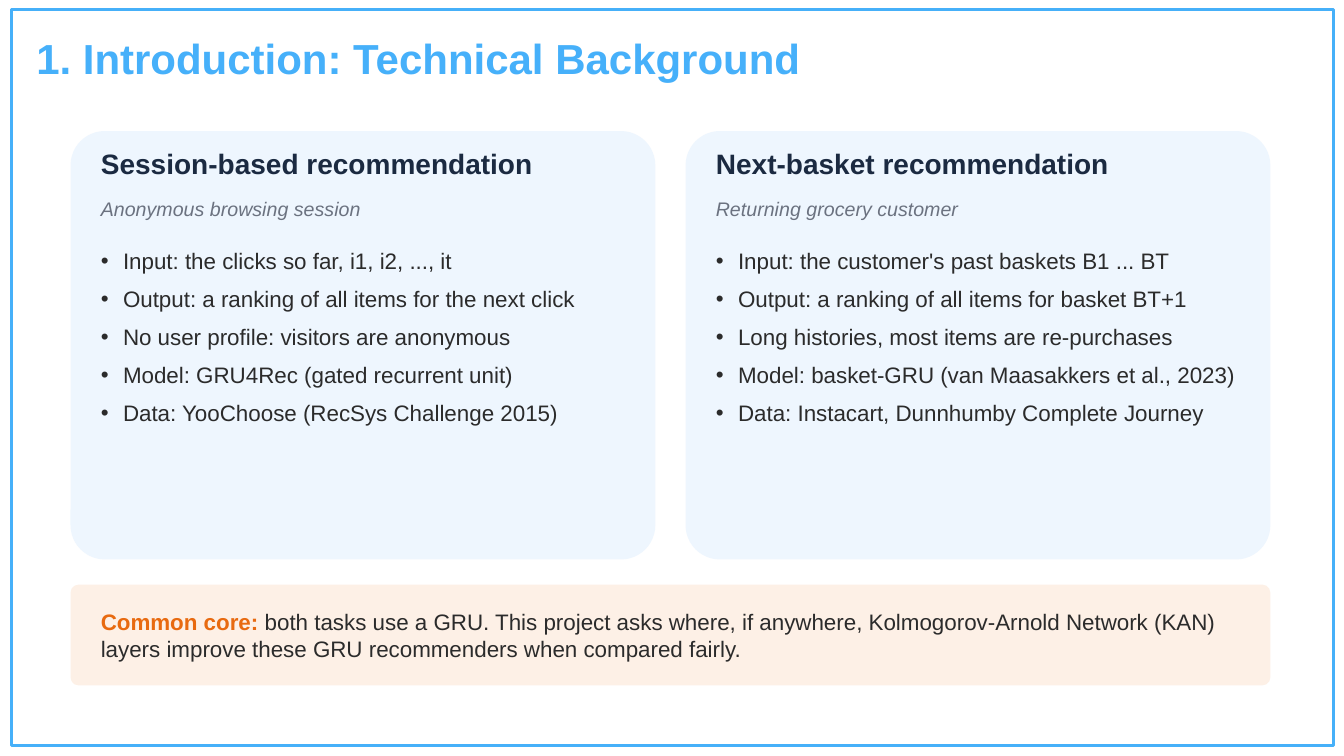
"""Build the technical background slide: two recommendation tasks and their common core."""
from lxml import etree
from pptx import Presentation
from pptx import util as u
from pptx.dml.color import RGBColor
from pptx.enum import shapes, text
from pptx.oxml import ns

FRAME_BLUE = RGBColor(0x46, 0xB0, 0xF9)
TITLE_BLUE = RGBColor(0x46, 0xB0, 0xFA)
CARD_BLUE = RGBColor(0xEE, 0xF6, 0xFE)
NAVY = RGBColor(0x1B, 0x2A, 0x41)
GREY = RGBColor(0x6B, 0x72, 0x80)
INK = RGBColor(0x2B, 0x2B, 0x2B)
ORANGE = RGBColor(0xE8, 0x6A, 0x10)
PEACH = RGBColor(0xFD, 0xF0, 0xE6)

MARGIN, PAD = 0.7, 0.3
CARD_WIDTH, CARD_TOP, CARD_HEIGHT = 5.8, 1.3, 4.25
INNER_WIDTH = CARD_WIDTH - 2 * PAD
BAND_TOP, BAND_WIDTH = 5.8, 2 * CARD_WIDTH + PAD

TASKS = [
    ("Session-based recommendation", "Anonymous browsing session", [
        "Input: the clicks so far, i1, i2, ..., it",
        "Output: a ranking of all items for the next click",
        "No user profile: visitors are anonymous",
        "Model: GRU4Rec (gated recurrent unit)",
        "Data: YooChoose (RecSys Challenge 2015)",
    ]),
    ("Next-basket recommendation", "Returning grocery customer", [
        "Input: the customer's past baskets B1 ... BT",
        "Output: a ranking of all items for basket BT+1",
        "Long histories, most items are re-purchases",
        "Model: basket-GRU (van Maasakkers et al., 2023)",
        "Data: Instacart, Dunnhumby Complete Journey",
    ]),
]


def place(box, left, top, width, height, anchor=text.MSO_ANCHOR.TOP):
    """Move a text holder and give its frame no insets."""
    box.left, box.top, box.width, box.height = map(u.Inches, (left, top, width, height))
    frame = box.text_frame
    frame.word_wrap = True
    frame.auto_size = text.MSO_AUTO_SIZE.NONE
    frame.vertical_anchor = anchor
    frame.margin_left = frame.margin_top = frame.margin_right = frame.margin_bottom = 0
    return frame


def write(para, words, size=16, color=INK, bold=False, italic=False, after=6, bullet=None):
    """Add a formatted span to a paragraph."""
    para.alignment = text.PP_ALIGN.LEFT
    para.space_before, para.space_after = u.Pt(0), u.Pt(after)
    if bullet:
        props = para._p.get_or_add_pPr()
        props.set("marL", str(u.Inches(0.22)))
        props.set("indent", str(-u.Inches(0.22)))
        etree.SubElement(props, ns.qn("a:buChar")).set("char", bullet)
    span = para.add_run()
    span.text = words
    font = span.font
    font.name, font.size, font.bold, font.italic = "Arial", u.Pt(size), bold, italic
    font.color.rgb = color


deck = Presentation()
deck.slide_width, deck.slide_height = u.Inches(13.33), u.Inches(7.5)
page = deck.slides.add_slide(deck.slide_layouts.get_by_name("Comparison"))
holders = page.placeholders

panels = [
    (shapes.MSO_SHAPE.RECTANGLE, 0.11, 0.09, 13.12, 7.31, None),
    (shapes.MSO_SHAPE.ROUNDED_RECTANGLE, MARGIN, CARD_TOP, CARD_WIDTH, CARD_HEIGHT, CARD_BLUE),
    (shapes.MSO_SHAPE.ROUNDED_RECTANGLE, MARGIN + CARD_WIDTH + PAD, CARD_TOP,
     CARD_WIDTH, CARD_HEIGHT, CARD_BLUE),
    (shapes.MSO_SHAPE.ROUNDED_RECTANGLE, MARGIN, BAND_TOP, BAND_WIDTH, 1, PEACH),
]
for layer, (outline, left, top, width, height, fill) in enumerate(panels):
    panel = page.shapes.add_shape(outline, *map(u.Inches, (left, top, width, height)))
    panel.shadow.inherit = False
    if fill is None:
        panel.fill.background()
        panel.line.color.rgb, panel.line.width = FRAME_BLUE, u.Pt(2.25)
    else:
        panel.adjustments[0] = 0.08
        panel.fill.solid()
        panel.fill.fore_color.rgb = fill
        panel.line.fill.background()
    page.shapes._spTree.insert(2 + layer, panel._element)

title = place(holders[0], 0.36, 0.26, 10.4, 0.62, text.MSO_ANCHOR.MIDDLE)
write(title.paragraphs[0], "1. Introduction: Technical Background", size=30, color=TITLE_BLUE, bold=True)

for column, (heading, setting, points) in enumerate(TASKS):
    left = MARGIN + PAD + column * (CARD_WIDTH + PAD)
    head = place(holders[1 + 2 * column], left, 1.45, INNER_WIDTH, 0.5)
    write(head.paragraphs[0], heading, size=20, color=NAVY, bold=True)
    caption = place(page.shapes.add_textbox(0, 0, 0, 0), left, 1.95, INNER_WIDTH, 0.4)
    write(caption.paragraphs[0], setting, size=14, color=GREY, italic=True)
    body = place(holders[2 + 2 * column], left, 2.45, 5.25, 3)
    for row, point in enumerate(points):
        para = body.add_paragraph() if row else body.paragraphs[0]
        write(para, point, after=8, bullet="•")

core = place(page.shapes.add_textbox(0, 0, 0, 0), MARGIN + PAD, BAND_TOP + 0.05,
             BAND_WIDTH - 2 * PAD, 0.9, text.MSO_ANCHOR.MIDDLE)
write(core.paragraphs[0], "Common core: ", color=ORANGE, bold=True)
write(core.paragraphs[0], "both tasks use a GRU. This project asks where, if anywhere, "
      "Kolmogorov-Arnold Network (KAN) layers improve these GRU recommenders when compared fairly.")

deck.save("out.pptx")
